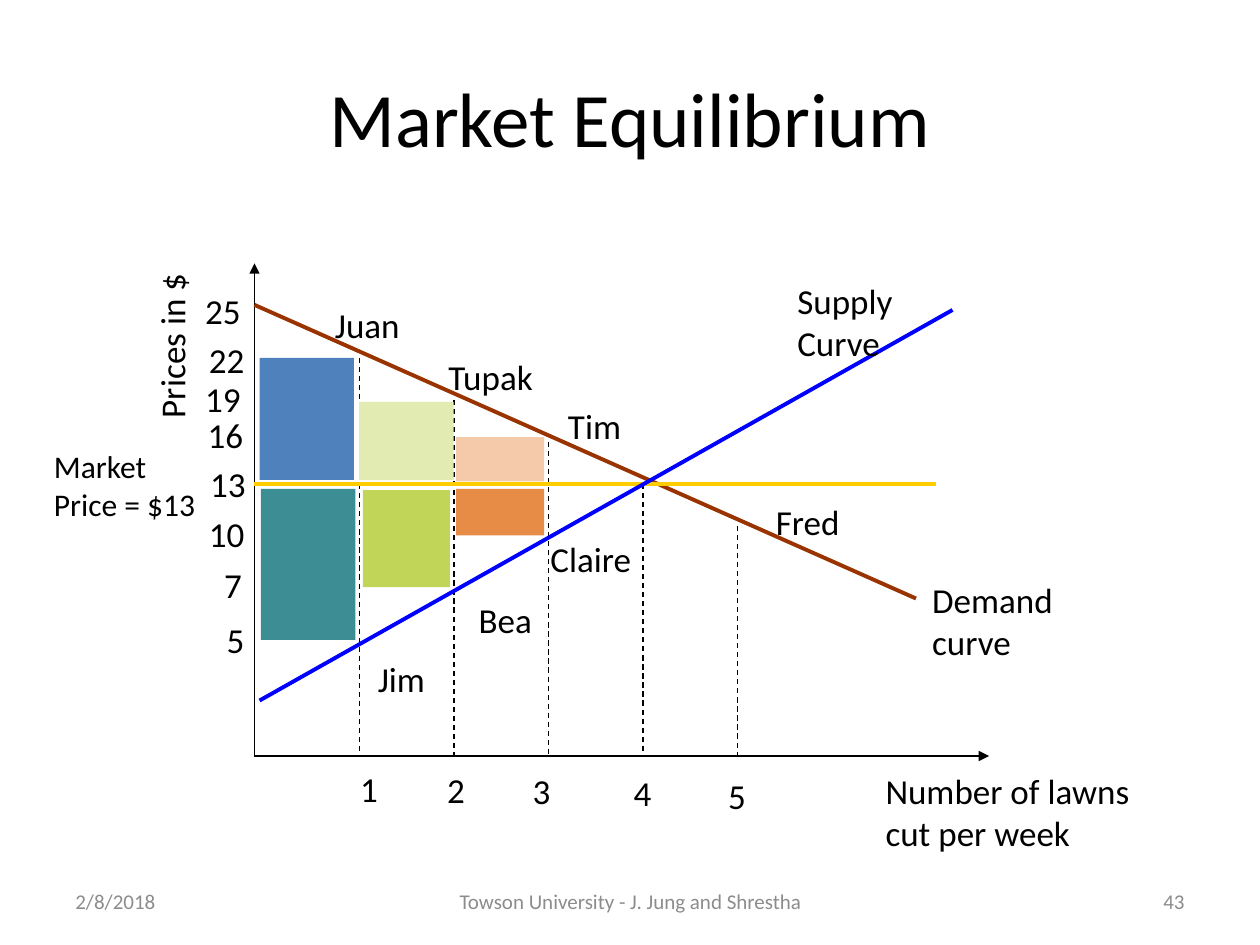
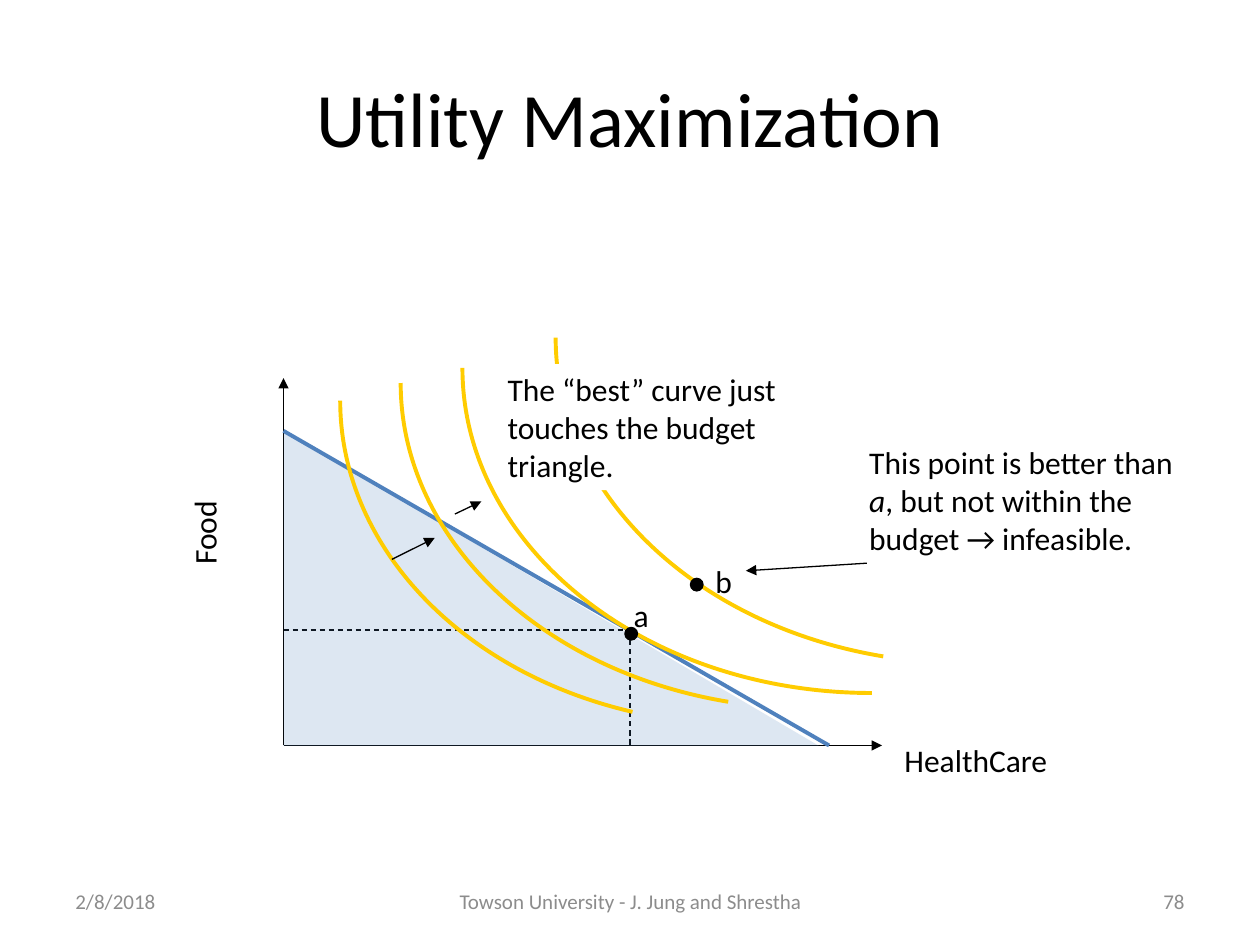
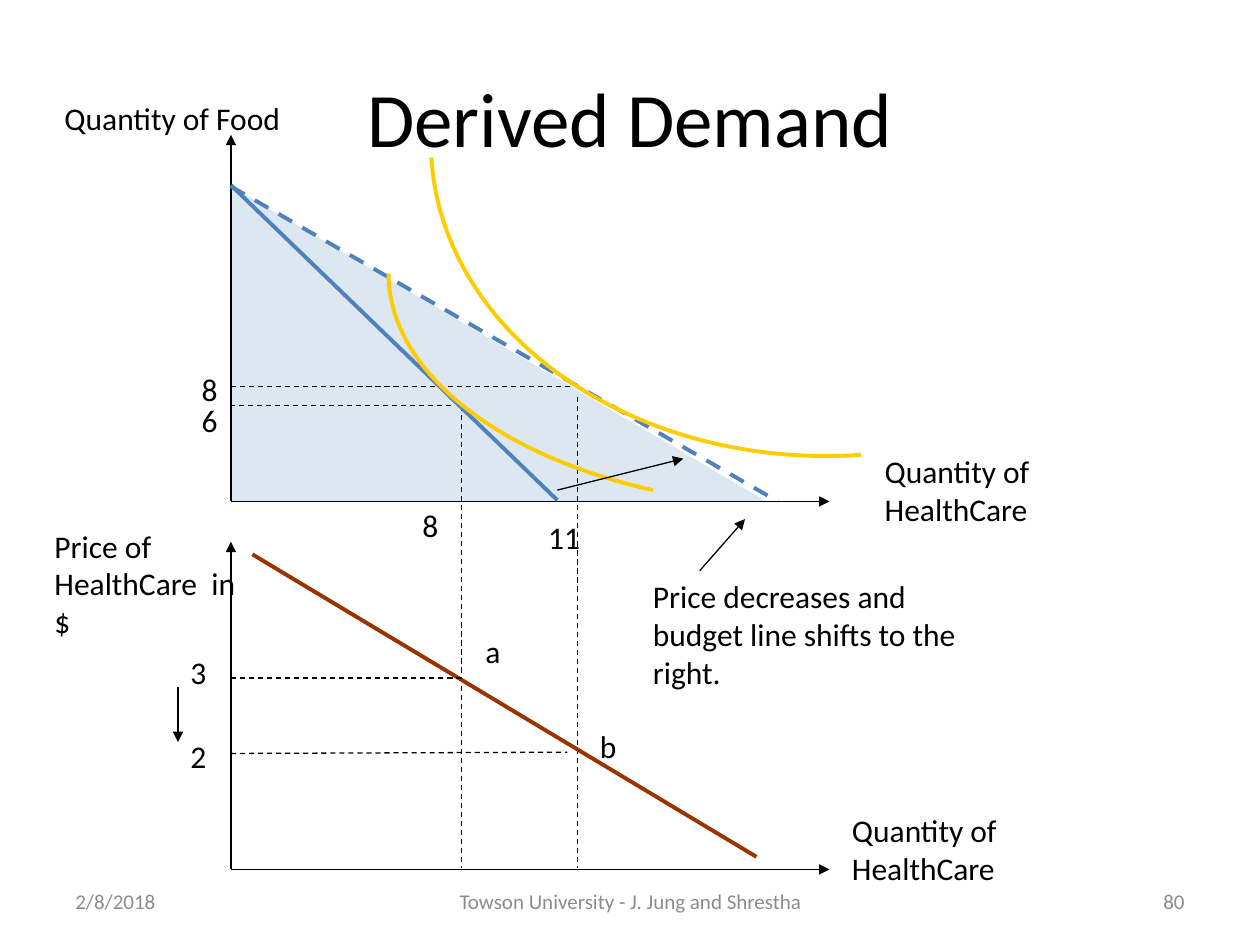
from dataclasses import dataclass

from lxml import etree
from pptx import Presentation
from pptx.dml.color import RGBColor
from pptx.enum.dml import MSO_LINE
from pptx.enum.shapes import MSO_CONNECTOR, MSO_SHAPE
from pptx.enum.text import MSO_ANCHOR, MSO_AUTO_SIZE, PP_ALIGN
from pptx.oxml.ns import qn
from pptx.util import Inches, Pt

DASH = MSO_LINE.DASH
STRAIGHT = MSO_CONNECTOR.STRAIGHT
RECTANGLE = MSO_SHAPE.RECTANGLE
TRIANGLE = MSO_SHAPE.RIGHT_TRIANGLE
OVAL = MSO_SHAPE.OVAL
MIDDLE = MSO_ANCHOR.MIDDLE
GROW = MSO_AUTO_SIZE.SHAPE_TO_FIT_TEXT
LEFT, CENTER, RIGHT = PP_ALIGN.LEFT, PP_ALIGN.CENTER, PP_ALIGN.RIGHT


@dataclass(frozen=True)
class Theme:
    font: str = "Calibri"
    title: int = 44
    large: int = 20
    body: int = 18
    small: int = 12
    thin: float = 0.75
    thick: float = 2.25
    black: str = "000000"
    white: str = "FFFFFF"
    grey: str = "8C8C8C"
    demand: str = "993300"
    supply: str = "0000FF"
    gold: str = "FFCC00"
    budget: str = "4F81BD"
    consumer_bars: tuple = ("4F81BD", "E2ECB2", "F4CAAA")
    producer_bars: tuple = ("3C8E94", "C1D658", "E78C47")


THEME = Theme()


@dataclass(frozen=True)
class Box:
    left: float
    top: float
    width: float
    height: float

    def inside(self, x, y, width=0, height=0):
        return Box(self.left + x, self.top + y, width, height)

    def point(self, x, y):
        return Inches(self.left + x), Inches(self.top + y)

    def frame(self):
        return [Inches(side) for side in (self.left, self.top, self.width, self.height)]


def color(code):
    return RGBColor.from_string(code)


def set_font(para, size, code=THEME.black):
    para.font.name = THEME.font
    para.font.size = Pt(size)
    para.font.color.rgb = color(code)


def add_title(page, text):
    title = page.shapes.title
    title.left, title.top, title.width, title.height = Box(0.5, 0.3, 9, 1.25).frame()
    title.text_frame.text = text
    title.text_frame.vertical_anchor = MIDDLE
    para = title.text_frame.paragraphs[0]
    para.alignment = CENTER
    set_font(para, THEME.title)


def add_footer(page, box, number):
    parts = (
        (0, 2.33, LEFT, "2/8/2018"),
        (2.92, 3.17, CENTER, "Towson University - J. Jung and Shrestha"),
        (6.67, 2.33, RIGHT, str(number)),
    )
    for x, width, alignment, text in parts:
        shape = page.shapes.add_textbox(*box.inside(x, 0, width, box.height).frame())
        frame = shape.text_frame
        frame.word_wrap = True
        frame.vertical_anchor = MIDDLE
        frame.text = text
        frame.paragraphs[0].alignment = alignment
        set_font(frame.paragraphs[0], THEME.small, THEME.grey)


def add_label(page, box, text, x, y, width, lines=1, size=THEME.body, turned=False, fill=None):
    height = 0.1 + lines * size * 1.2 / 72
    shape = page.shapes.add_textbox(*box.inside(x, y, width, height).frame())
    if turned:
        shape.rotation = 270
    if fill:
        shape.fill.solid()
        shape.fill.fore_color.rgb = color(fill)
    frame = shape.text_frame
    frame.word_wrap = True
    frame.auto_size = GROW
    para = frame.paragraphs[0]
    set_font(para, size)
    for index, part in enumerate(text.split("*")):
        span = para.add_run()
        span.text = part
        if index % 2:
            span.font.italic = True


def add_labels(page, box, labels, **options):
    for label in labels:
        add_label(page, box, *label, **options)


def add_line(page, box, start, end, code=THEME.black, weight=THEME.thin, dashed=False, arrow=False):
    line = page.shapes.add_connector(STRAIGHT, *box.point(*start), *box.point(*end))
    line.line.color.rgb = color(code)
    line.line.width = Pt(weight)
    if dashed:
        line.line.dash_style = DASH
    properties = line._element.spPr
    if arrow:
        etree.SubElement(properties.find(qn("a:ln")), qn("a:tailEnd"), type="triangle")
    etree.SubElement(properties, qn("a:effectLst"))


def add_guides(page, box, guides):
    for start, end in guides:
        add_line(page, box, start, end, dashed=True)


def add_arrows(page, box, arrows):
    for start, end in arrows:
        add_line(page, box, start, end, arrow=True)


def add_axes(page, box):
    origin = (0, box.height)
    add_arrows(page, box, ((origin, (0, 0)), (origin, (box.width, box.height))))


def add_filled(page, kind, box, code, opacity=None):
    shape = page.shapes.add_shape(kind, *box.frame())
    shape.shadow.inherit = False
    shape.fill.solid()
    shape.fill.fore_color.rgb = color(code)
    shape.line.fill.background()
    if opacity:
        tint = shape._element.spPr.find(qn("a:solidFill"))[0]
        etree.SubElement(tint, qn("a:alpha"), val=str(opacity * 1000))
    return shape


def add_budget_set(page, box, y):
    add_filled(page, TRIANGLE, box.inside(0, y, 4.25, 2.5), THEME.budget, opacity=19)


def add_dot(page, box, x, y):
    dot = add_filled(page, OVAL, box.inside(x, y, 0.1, 0.1), THEME.black)
    dot.line.color.rgb = color(THEME.black)
    dot.line.width = Pt(THEME.thin)


def add_indifference_curve(page, box, controls):
    points = [box.point(*control) for control in controls]
    end_x, end_y = controls[-1]
    builder = page.shapes.build_freeform(*points[0], scale=1.0)
    builder.add_line_segments(points[1:], close=False)
    builder.move_to(*box.point(end_x + 3.25, end_y))
    curve = builder.convert_to_shape()
    outline = next(curve._element.iter(qn("a:path")))
    segments = outline.findall(qn("a:lnTo"))
    bend = etree.Element(qn("a:cubicBezTo"))
    outline.insert(1, bend)
    for segment in segments:
        bend.append(segment[0])
        outline.remove(segment)
    curve.shadow.inherit = False
    curve.fill.background()
    curve.line.color.rgb = color(THEME.gold)
    curve.line.width = Pt(THEME.thick)


def draw_market(page, box):
    add_axes(page, box)
    add_line(page, box, (0, 0.33), (5.25, 2.66), THEME.demand, THEME.thick)
    lawns = [(5 / 6 + 0.75 * step, 0.75 + step / 3) for step in range(5)]
    add_guides(page, box, [((x, y), (x, box.height)) for x, y in lawns])
    add_line(page, box, (5.41, 1.75), (0, 1.75), THEME.gold, THEME.thick)

    consumer_surplus = ((0.04, 0.75, 0.75, 0.97), (0.83, 1.1, 0.75, 0.62), (1.6, 1.38, 0.7, 0.35))
    producer_surplus = ((0.05, 1.79, 0.75, 1.2), (0.86, 1.8, 0.69, 0.77), (1.6, 1.79, 0.7, 0.37))
    for place, code in zip(consumer_surplus, THEME.consumer_bars):
        add_filled(page, RECTANGLE, box.inside(*place), code)
    add_line(page, box, (0.04, 3.47), (5.54, 0.37), THEME.supply, THEME.thick)
    for place, code in zip(producer_surplus, THEME.producer_bars):
        add_filled(page, RECTANGLE, box.inside(*place), code)

    people = (
        ("Juan", 0.54, 0.27, 0.79), ("Tupak", 1.44, 0.68, 0.91),
        ("Tim", 2.39, 1.07, 0.83), ("Fred", 4.04, 1.83, 1.03),
        ("Jim", 0.88, 3.08, 0.73), ("Bea", 1.68, 2.61, 0.69), ("Claire", 2.25, 2.13, 1),
    )
    quantities = (
        ("1", 0.74, 3.95, 0.4), ("2", 1.43, 3.96, 0.4), ("3", 2.11, 3.97, 0.4),
        ("4", 2.91, 3.98, 0.4), ("5", 3.66, 4.01, 0.4),
    )
    prices = (
        ("25", -0.49, 0.16, 0.69), ("22", -0.46, 0.55, 0.81), ("19", -0.49, 0.86, 0.69),
        ("16", -0.47, 1.14, 0.63), ("13", -0.45, 1.53, 0.79), ("10", -0.46, 1.93, 0.64),
        ("7", -0.34, 2.33, 0.39), ("5", -0.32, 2.77, 0.37),
    )
    captions = (
        ("Number of lawns cut per week", 4.91, 3.97, 2.16, 2),
        ("Demand curve", 5.28, 2.45, 1.2, 2),
        ("Supply Curve", 4.21, 0.08, 1.54, 2),
    )
    add_labels(page, box, people + quantities + prices + captions, size=THEME.large)
    add_label(page, box, "Prices in $", -1.41, 0.36, 1.5, size=THEME.large, turned=True)
    add_label(page, box, "Market Price = $13", -1.69, 1.41, 1.42, 2)


def draw_utility(page, box):
    infeasible, *reachable = (
        ((4.76, 2.21), (3.25, 1.96), (2.16, 0.9), (2.16, -0.32)),
        ((4.67, 2.5), (2.87, 2.5), (1.42, 1.34), (1.42, -0.08)),
        ((3.53, 2.57), (2.02, 2.32), (0.93, 1.26), (0.93, 0.04)),
        ((2.77, 2.65), (1.39, 2.33), (0.45, 1.32), (0.45, 0.18)),
    )
    add_indifference_curve(page, box, infeasible)
    add_axes(page, box)
    add_line(page, box, (0, 0.42), (4.33, box.height), THEME.budget, THEME.thick)
    add_guides(page, box, (((0, 2), (2.75, 2)), ((2.75, 2.08), (2.75, box.height))))
    add_budget_set(page, box, 0.42)
    for controls in reachable:
        add_indifference_curve(page, box, controls)
    add_arrows(page, box, (
        ((0.86, 1.44), (1.2, 1.27)),
        ((1.36, 1.08), (1.57, 0.98)),
        ((4.63, 1.47), (3.67, 1.53)),
    ))
    best = "The “best” curve just touches the budget triangle."
    add_label(page, box, best, 1.68, -0.11, 2.92, 3, fill=THEME.white)
    add_label(page, box, "Food", -1.38, 0.63, 1.5, turned=True)
    better = "This point is better than *a*, but not within the budget → infeasible."
    add_labels(page, box, (
        ("HealthCare", 4.83, 2.83, 1.42),
        ("a", 2.68, 1.68, 0.82),
        ("b", 3.33, 1.41, 0.74),
        (better, 4.55, 0.47, 2.85, 3),
    ))
    add_dot(page, box, 3.23, 1.59)
    add_dot(page, box, 2.71, 1.98)


def draw_consumption(page, box):
    add_budget_set(page, box, 0.41)
    add_axes(page, box)
    add_line(page, box, (0, 0.41), (4.34, 2.91), THEME.budget, THEME.thick, dashed=True)
    add_guides(page, box, (
        ((0, 2), (2.75, 2)),
        ((2.75, 2.08), (2.75, 5.82)),
        ((1.75, 2.15), (0, 2.15)),
        ((1.83, 2.15), (1.83, 5.82)),
    ))
    add_line(page, box, (0, 0.4), (2.59, 2.9), THEME.budget, THEME.thick)
    add_indifference_curve(page, box, ((5, 2.54), (3.21, 2.66), (1.68, 1.6), (1.59, 0.18)))
    add_indifference_curve(page, box, ((3.35, 2.82), (2.09, 2.54), (1.25, 1.86), (1.25, 1.1)))
    add_arrows(page, box, (((2.59, 2.82), (3.59, 2.57)), ((3.72, 3.46), (4.08, 3.05))))
    add_labels(page, box, (
        ("Quantity of HealthCare", 5.09, 2.47, 1.42, 2),
        ("Quantity of Food", -1.42, -0.33, 2.25),
        ("8", 1.42, 2.9, 0.42),
        ("11", 2.42, 2.99, 0.5),
        ("6", -0.33, 2.06, 0.5),
        ("8", -0.33, 1.82, 0.67),
        ("Price decreases and budget line shifts to the right.", 3.25, 3.46, 2.74, 3),
    ))


def draw_demand(page, box):
    add_axes(page, box)
    add_line(page, box, (0.17, 0.1), (4.17, 2.5), THEME.demand, THEME.thick)
    add_guides(page, box, (((0, 1.68), (2.67, 1.67)), ((1.83, 1.08), (0, 1.08))))
    add_arrows(page, box, (((-0.42, 1.15), (-0.42, 1.59)),))
    add_labels(page, box, (
        ("Quantity of HealthCare", 4.83, 2.09, 2.25, 2),
        ("Price of HealthCare  in $", -1.5, -0.17, 1.75, 3),
        ("a", 1.92, 0.67, 0.42),
        ("b", 2.83, 1.42, 0.58),
        ("3", -0.42, 0.83, 0.5),
        ("2", -0.42, 1.5, 0.33),
    ))


def main():
    deck = Presentation()
    deck.slide_width, deck.slide_height = Inches(10), Inches(7.5)
    title_only = deck.slide_layouts[5]
    slides = (
        ("Market Equilibrium", 43, ((draw_market, Box(2.02, 2.09, 5.83, 3.91)),)),
        ("Utility Maximization", 78, ((draw_utility, Box(2.25, 3, 4.75, 35 / 12)),)),
        ("Derived Demand", 80, (
            (draw_consumption, Box(11 / 6, 1.07, 4.75, 2.91)),
            (draw_demand, Box(11 / 6, 4.3, 4.75, 2.6)),
        )),
    )
    for title, number, diagrams in slides:
        page = deck.slides.add_slide(title_only)
        add_title(page, title)
        add_footer(page, Box(0.5, 6.95, 9, 0.4), number)
        for draw, box in diagrams:
            draw(page, box)
    deck.save("out.pptx")


if __name__ == "__main__":
    main()
